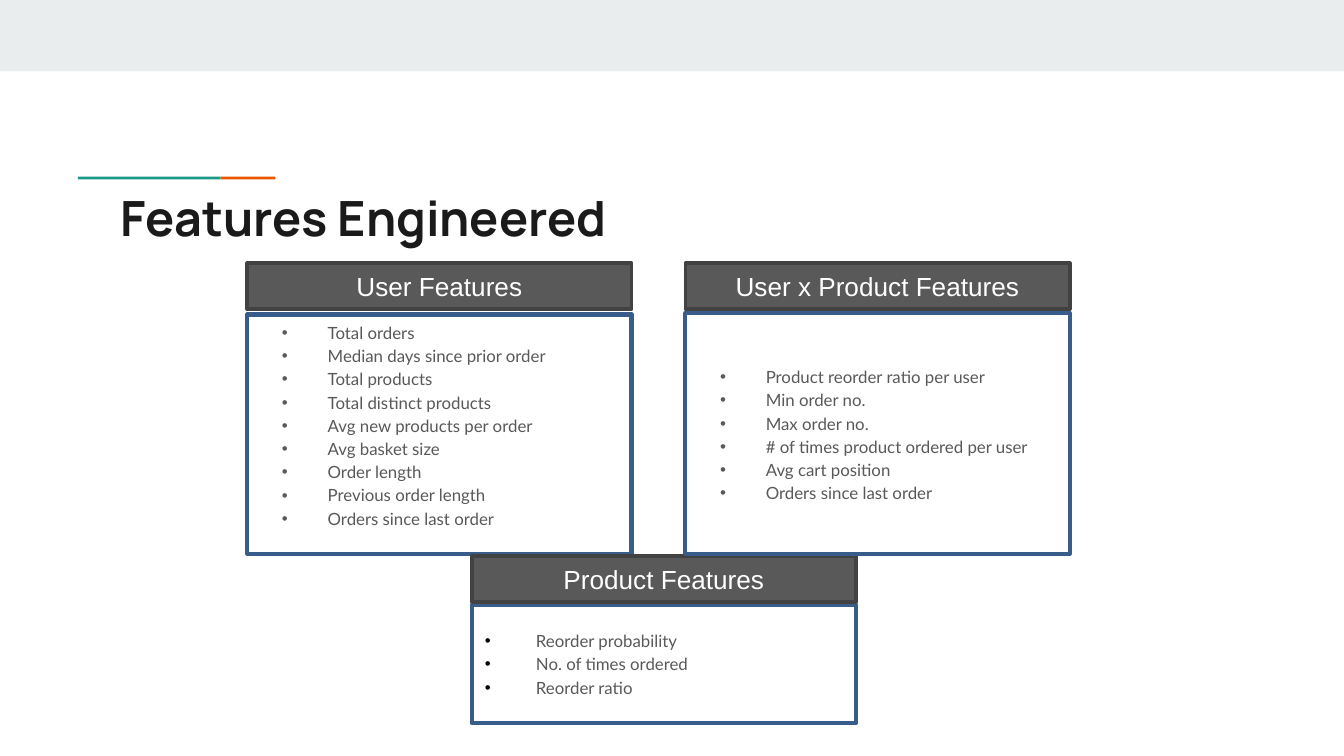
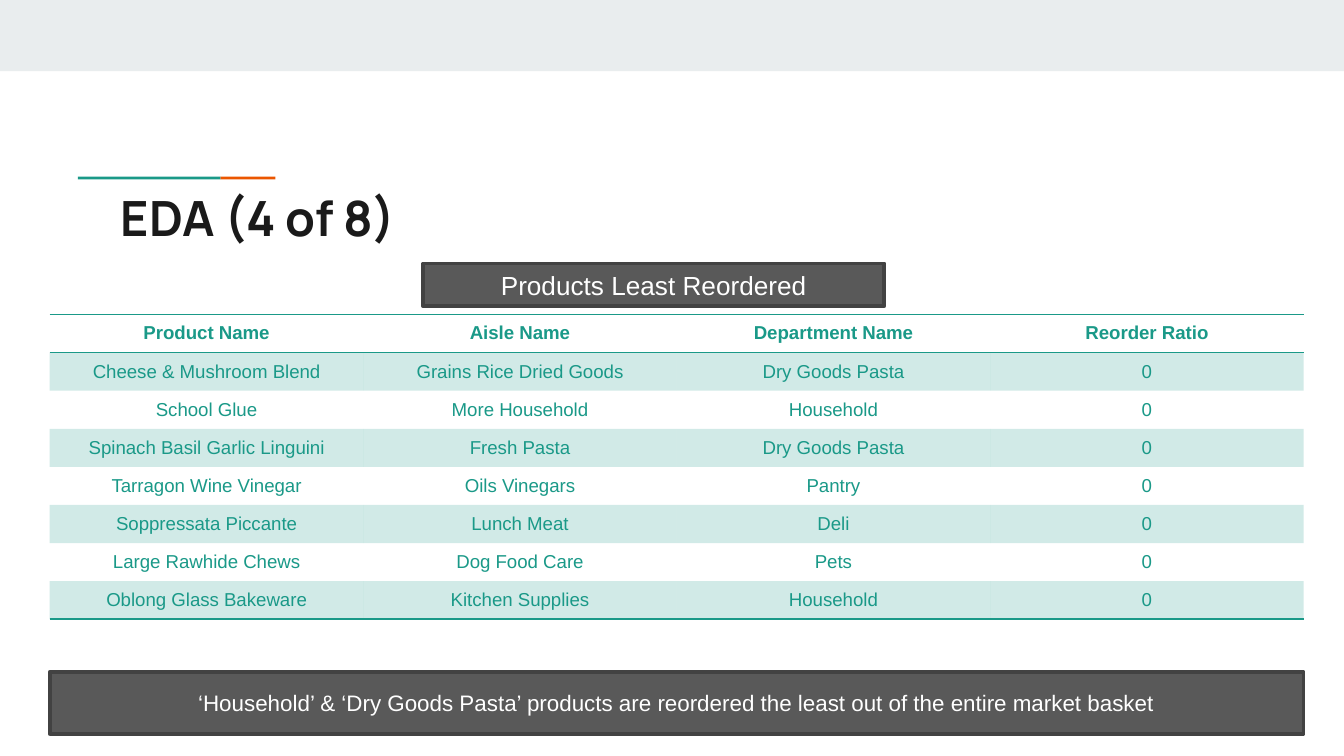
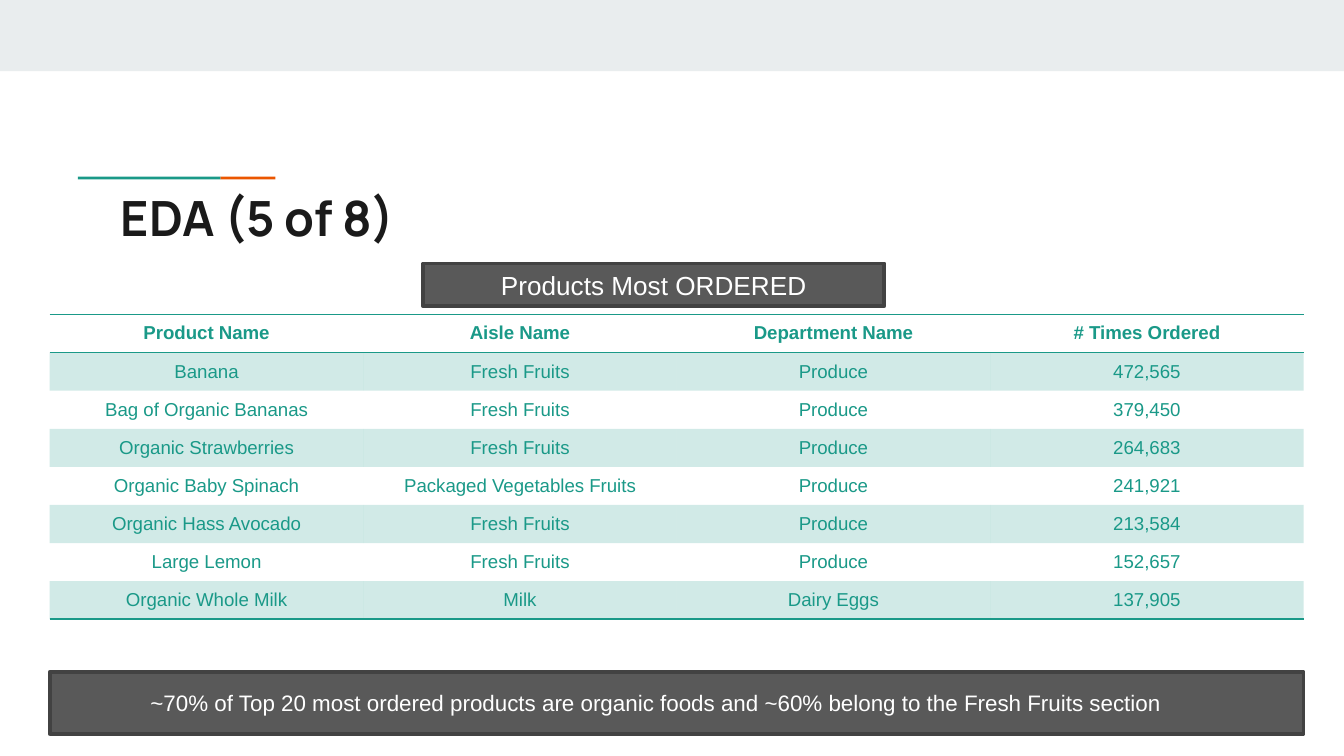
"""Build three slides on engineered features and product reorder findings."""
from dataclasses import dataclass
from typing import Optional

from lxml.etree import SubElement
from pptx import Presentation
from pptx.dml.color import RGBColor
from pptx.enum.shapes import MSO_SHAPE
from pptx.enum.text import MSO_ANCHOR, PP_ALIGN
from pptx.oxml import parse_xml
from pptx.oxml.ns import nsdecls, qn
from pptx.util import Inches, Pt

COLORS = {
    "band": "E9EDEE",
    "teal": "1A9988",
    "orange": "EB5600",
    "title": "1A1A1A",
    "label": "595959",
    "label_edge": "424242",
    "panel_edge": "385D8A",
    "body": "595959",
    "black": "000000",
    "white": "FFFFFF",
}
UNIT = Inches(0.1)
COLUMNS, ROWS = 100, 56.25
NO_STYLE_GRID = "{2D5ABB26-0587-4C30-8999-92F81FD0307C}"
PANEL_WIDTH, LABEL_HEIGHT = 28.6, 3.4
TABLE_LEFT, TABLE_WIDTH = 3.7, 93.3


@dataclass(frozen=True)
class Area:
    """A rectangle in grid columns and rows."""

    left: float
    top: float
    width: float
    height: float

    def emu(self) -> list[int]:
        """Return the rectangle in slide units."""
        return [grid(n) for n in (self.left, self.top, self.width, self.height)]


@dataclass(frozen=True)
class ListStyle:
    """Indents, spacing, bullet colour and vertical insets of a feature list."""

    margin: float = 5
    hanging: float = 3.4
    line_spacing: float = 1.15
    space_before: float = 0
    bullet: str = "body"
    inset_top: float = 1
    inset_bottom: float = 1


@dataclass(frozen=True)
class FeaturePanel:
    """A labelled box of features."""

    heading: str
    left: float
    label_top: float
    body_top: float
    body_height: float
    features: tuple[str, ...]
    style: ListStyle = ListStyle()


@dataclass(frozen=True)
class Ranking:
    """A table slide with a heading and a finding."""

    title: str
    heading: str
    measure: str
    products: tuple[tuple[str, str, str, str], ...]
    finding: str
    finding_inset_right: float = 1


PANELS = (
    FeaturePanel("User Features", 18.4, 19.6, 23.4, 17.8, (
        "Total orders",
        "Median days since prior order",
        "Total products",
        "Total distinct products",
        "Avg new products per order",
        "Avg basket size",
        "Order length",
        "Previous order length",
        "Orders since last order",
    ), ListStyle(inset_top=0, inset_bottom=1.5)),
    FeaturePanel("Product Features", 35.1, 41.4, 45, 8.8, (
        "Reorder probability",
        "No. of times ordered",
        "Reorder ratio",
    ), ListStyle(3.8, 3.8, 1, 1.8, "black", 0.5, 0.5)),
    FeaturePanel("User x Product Features", 51, 19.6, 23.3, 17.9, (
        "Product reorder ratio per user",
        "Min order no.",
        "Max order no.",
        "# of times product ordered per user",
        "Avg cart position",
        "Orders since last order",
    )),
)

RANKINGS = (
    Ranking("EDA (4 of 8)", "Products Least Reordered", "Reorder Ratio", (
        ("Cheese & Mushroom Blend", "Grains Rice Dried Goods", "Dry Goods Pasta", "0"),
        ("School Glue", "More Household", "Household", "0"),
        ("Spinach Basil Garlic Linguini", "Fresh Pasta", "Dry Goods Pasta", "0"),
        ("Tarragon Wine Vinegar", "Oils Vinegars", "Pantry", "0"),
        ("Soppressata Piccante", "Lunch Meat", "Deli", "0"),
        ("Large Rawhide Chews", "Dog Food Care", "Pets", "0"),
        ("Oblong Glass Bakeware", "Kitchen Supplies", "Household", "0"),
    ), "‘Household’ & ‘Dry Goods Pasta’ products are reordered the least "
       "out of the entire market basket"),
    Ranking("EDA (5 of 8)", "Products Most ORDERED", "# Times Ordered", (
        ("Banana", "Fresh Fruits", "Produce", "472,565"),
        ("Bag of Organic Bananas", "Fresh Fruits", "Produce", "379,450"),
        ("Organic Strawberries", "Fresh Fruits", "Produce", "264,683"),
        ("Organic Baby Spinach", "Packaged Vegetables Fruits", "Produce", "241,921"),
        ("Organic Hass Avocado", "Fresh Fruits", "Produce", "213,584"),
        ("Large Lemon", "Fresh Fruits", "Produce", "152,657"),
        ("Organic Whole Milk", "Milk", "Dairy Eggs", "137,905"),
    ), "~70% of Top 20 most ordered products are organic foods and "
       "~60% belong to the Fresh Fruits section", 4),
)


def grid(count: float) -> int:
    """Convert grid columns or rows to slide units."""
    return round(count * UNIT)


def rgb(color: str) -> RGBColor:
    """Look up a named colour."""
    return RGBColor.from_string(COLORS[color])


def write(paragraph, words: str, size: float, color: str, font: str = "Arial",
          bold: bool = False) -> None:
    """Add one formatted run to a paragraph."""
    run = paragraph.add_run()
    run.text = words
    run.font.name = font
    run.font.size = Pt(size)
    run.font.bold = bold
    run.font.color.rgb = rgb(color)


def draw_box(slide, area: Area, fill: Optional[str] = None,
             edge: Optional[str] = None, edge_width: float = 2):
    """Draw a flat rectangle with optional fill and edge."""
    box = slide.shapes.add_shape(MSO_SHAPE.RECTANGLE, *area.emu())
    box.shadow.inherit = False
    if fill:
        box.fill.solid()
        box.fill.fore_color.rgb = rgb(fill)
    else:
        box.fill.background()
    if edge:
        box.line.color.rgb = rgb(edge)
        box.line.width = Pt(edge_width)
    else:
        box.line.fill.background()
    box.text_frame.word_wrap = True
    box.text_frame.vertical_anchor = MSO_ANCHOR.MIDDLE
    return box


def draw_label(slide, area: Area, words: str, size: float,
               inset_right: float = 1) -> None:
    """Draw a dark label with centred white text."""
    frame = draw_box(slide, area, "label", "label_edge").text_frame
    frame.margin_right = grid(inset_right)
    frame.paragraphs[0].alignment = PP_ALIGN.CENTER
    write(frame.paragraphs[0], words, size, "white")


def add_titled_slide(deck, title: str):
    """Add a slide with the shared band, accent rule and title."""
    slide = deck.slides.add_slide(deck.slide_layouts[6])
    draw_box(slide, Area(0, 0, COLUMNS, 5.3), "band")
    draw_box(slide, Area(16.4, 13.15, 4.1, 0.2), "orange")
    draw_box(slide, Area(5.8, 13.15, 10.6, 0.2), "teal")
    frame = slide.shapes.add_textbox(*Area(8, 13, 84.1, 5.9).emu()).text_frame
    frame.word_wrap = True
    frame.margin_top = frame.margin_bottom = grid(1)
    write(frame.paragraphs[0], title, 26, "title", "Manrope", True)
    return slide


def set_bullet(paragraph, style: ListStyle) -> None:
    """Give a paragraph its hanging bullet."""
    properties = paragraph._p.get_or_add_pPr()
    properties.set("marL", str(grid(style.margin)))
    properties.set("indent", str(-grid(style.hanging)))
    bullet_color = SubElement(properties, qn("a:buClr"))
    SubElement(bullet_color, qn("a:srgbClr"), val=COLORS[style.bullet])
    SubElement(properties, qn("a:buFont"), typeface="Arial")
    SubElement(properties, qn("a:buChar"), char="•")


def draw_panel(slide, panel: FeaturePanel) -> None:
    """Draw a feature list below its label."""
    area = Area(panel.left, panel.body_top, PANEL_WIDTH, panel.body_height)
    frame = draw_box(slide, area, edge="panel_edge", edge_width=2.25).text_frame
    frame.margin_top = grid(panel.style.inset_top)
    frame.margin_bottom = grid(panel.style.inset_bottom)
    for index, feature in enumerate(panel.features):
        paragraph = frame.add_paragraph() if index else frame.paragraphs[0]
        paragraph.alignment = PP_ALIGN.LEFT
        paragraph.line_spacing = panel.style.line_spacing
        paragraph.space_before = Pt(panel.style.space_before)
        set_bullet(paragraph, panel.style)
        write(paragraph, feature, 9, "body", "Lato")
    label = Area(panel.left, panel.label_top, PANEL_WIDTH, LABEL_HEIGHT)
    draw_label(slide, label, panel.heading, 14)


def tint_cell(cell) -> None:
    """Fill a cell with teal at one fifth opacity."""
    cell.fill.solid()
    cell.fill.fore_color.rgb = rgb("teal")
    tint = cell._tc.tcPr.find(".//" + qn("a:srgbClr"))
    SubElement(tint, qn("a:alpha"), val="20000")


def rule_cell(cell, sides: str) -> None:
    """Draw teal borders on the given sides, T before B."""
    for position, side in enumerate(sides):
        border = parse_xml(
            f'<a:ln{side} {nsdecls("a")} w="{Pt(1)}"><a:solidFill>'
            f'<a:srgbClr val="{COLORS["teal"]}"/></a:solidFill></a:ln{side}>')
        cell._tc.get_or_add_tcPr().insert(position, border)


def draw_ranking_table(slide, ranking: Ranking) -> None:
    """Draw the product table with tinted alternate rows."""
    header = ("Product Name", "Aisle Name", "Department Name", ranking.measure)
    records = (header, *ranking.products)
    area = Area(TABLE_LEFT, 23.4, TABLE_WIDTH, 22.7)
    table = slide.shapes.add_table(len(records), len(header), *area.emu()).table
    table.first_row = table.horz_banding = False
    table._tbl.tblPr.find(qn("a:tableStyleId")).text = NO_STYLE_GRID
    for row, record in enumerate(records):
        for column, words in enumerate(record):
            cell = table.cell(row, column)
            cell.vertical_anchor = MSO_ANCHOR.MIDDLE
            paragraph = cell.text_frame.paragraphs[0]
            paragraph.alignment = PP_ALIGN.CENTER
            write(paragraph, words, 10, "teal", bold=row == 0)
            if row % 2:
                tint_cell(cell)
            else:
                cell.fill.background()
            if row == 0:
                rule_cell(cell, "TB")
            elif row == len(records) - 1:
                rule_cell(cell, "B")


def add_ranking_slide(deck, ranking: Ranking) -> None:
    """Add a table slide with its heading and finding."""
    slide = add_titled_slide(deck, ranking.title)
    draw_label(slide, Area(TABLE_LEFT, 50, TABLE_WIDTH, 4.6), ranking.finding, 12,
               ranking.finding_inset_right)
    draw_ranking_table(slide, ranking)
    draw_label(slide, Area(31.5, 19.6, 34.3, 3.2), ranking.heading, 14)


def main() -> None:
    """Build and save the deck."""
    deck = Presentation()
    deck.slide_width, deck.slide_height = grid(COLUMNS), grid(ROWS)
    features = add_titled_slide(deck, "Features Engineered")
    for panel in PANELS:
        draw_panel(features, panel)
    for ranking in RANKINGS:
        add_ranking_slide(deck, ranking)
    deck.save("out.pptx")


if __name__ == "__main__":
    main()
